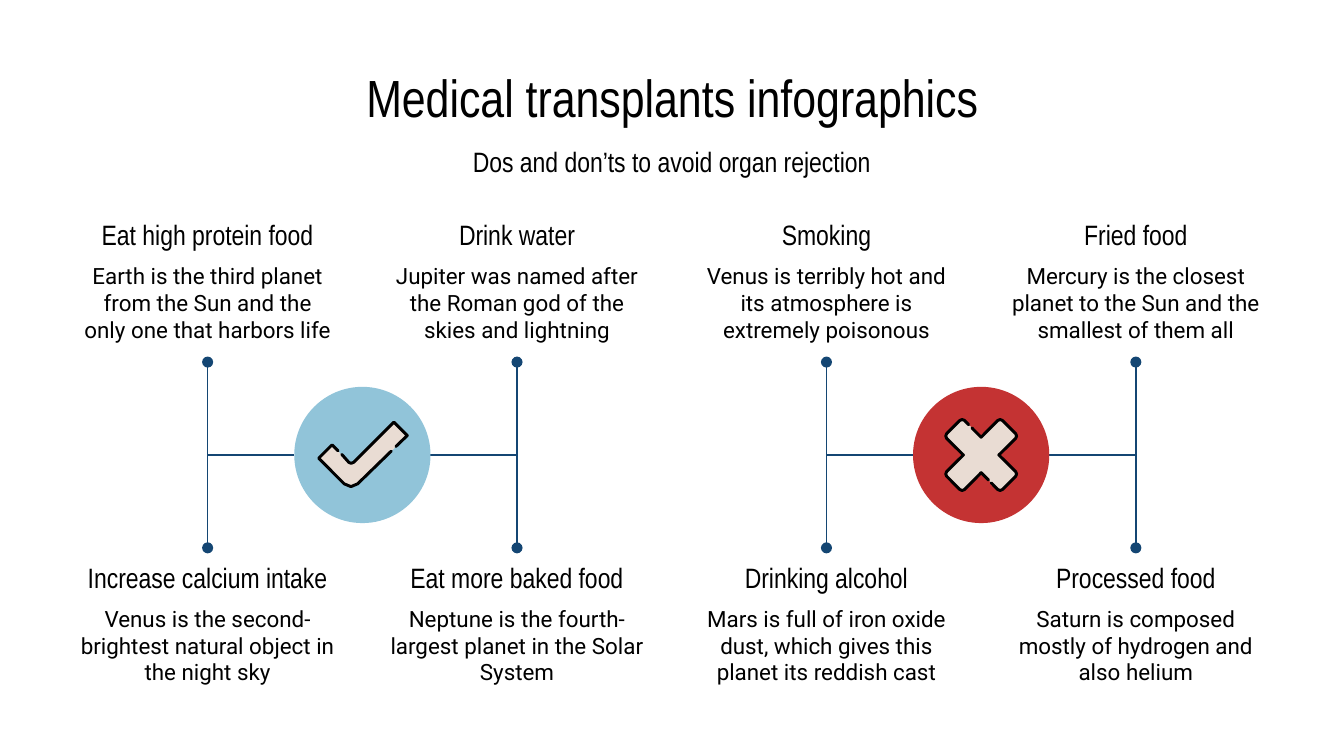
import pptx
import pptx.util
import pptx.dml.color
import pptx.enum.shapes
import pptx.enum.text
import pptx.oxml.ns
import lxml.etree

Pt = pptx.util.Pt
COLORS = {"text": "000000", "line": "144673", "do": "91C4D9", "dont": "C43333", "icon": "E9DCD3"}
HEADING_FONT, BODY_FONT = "Arial Narrow", "Roboto"

TITLE = "Medical transplants infographics"
SUBTITLE = "Dos and don’ts to avoid organ rejection"
ADVICE_ROWS = [
    [
        ("Eat high protein food", "Earth is the third planet from the Sun and the only one that harbors life"),
        ("Drink water", "Jupiter was named after the Roman god of the skies and lightning"),
        ("Smoking", "Venus is terribly hot and its atmosphere is extremely poisonous"),
        ("Fried food", "Mercury is the closest planet to the Sun and the smallest of them all"),
    ],
    [
        ("Increase calcium intake", "Venus is the second-brightest natural object in the night sky"),
        ("Eat more baked food", "Neptune is the fourth-largest planet in the Solar System"),
        ("Drinking alcohol", "Mars is full of iron oxide dust, which gives this planet its reddish cast"),
        ("Processed food", "Saturn is composed mostly of hydrogen and also helium"),
    ],
]
CHECK = [(16.9, -17.6), (-4.7, 4), (-6, 4.5), (-7.2, 4), (-16.2, -5.4),
         (-23.4, 1.8), (-9.7, 15.5), (-6.1, 17), (-2.5, 15.5), (24.1, -10.4)]
CHECK_STROKES = [
    [(-13, -2.2)] + CHECK[4:9] + [(15.5, -2)],
    [(-11, -0.3)] + CHECK[3::-1] + [CHECK[9], (18, -4.5)],
]
CROSS_ARM = [(0, -9.5), (8.9, -18.5), (10.2, -19), (11.4, -18.5),
             (18.5, -11.4), (19, -10.2), (18.5, -8.9)]
CROSS = (CROSS_ARM + [(-y, x) for x, y in CROSS_ARM]
         + [(-x, -y) for x, y in CROSS_ARM] + [(y, -x) for x, y in CROSS_ARM])
CROSS_STROKES = [
    [(-5, -14.5)] + CROSS[:14] + [(5.4, 14.9)],
    [(4, 13.5)] + CROSS[14:] + [(-6.7, -16.2)],
]
SIDES = [("do", CHECK, CHECK_STROKES), ("dont", CROSS, CROSS_STROKES)]

MARGIN, COLUMN_STEP, COLUMN_WIDTH = 36, 165.75, 150.5
ROW_TOPS = [115.2, 298.8]
STEM_TOP, STEM_BOTTOM = 194, 293.5
MIDDLE = (STEM_TOP + STEM_BOTTOM) / 2
DIAMETER = 73


def rgb(name):
    return pptx.dml.color.RGBColor.from_string(COLORS[name])


def write(box, text, size, font, top_inset=7.2, anchor="TOP"):
    frame = box.text_frame
    frame.word_wrap = True
    frame.auto_size = pptx.enum.text.MSO_AUTO_SIZE.NONE
    frame.vertical_anchor = pptx.enum.text.MSO_ANCHOR[anchor]
    frame.margin_left = frame.margin_right = frame.margin_bottom = Pt(7.2)
    frame.margin_top = Pt(top_inset)
    paragraph = frame.paragraphs[0]
    paragraph.alignment = pptx.enum.text.PP_ALIGN.CENTER
    run = paragraph.add_run()
    run.text = text
    run.font.size = Pt(size)
    run.font.name = font
    run.font.color.rgb = rgb("text")


def add_text(left, top, width, height, *text_format):
    box = slide.shapes.add_textbox(Pt(left), Pt(top), Pt(width), Pt(height))
    write(box, *text_format)


def add_line(x1, y1, x2, y2, dotted=False):
    line = slide.shapes.add_connector(
        pptx.enum.shapes.MSO_CONNECTOR.STRAIGHT, Pt(x1), Pt(y1), Pt(x2), Pt(y2))
    line.line.color.rgb = rgb("line")
    line.line.width = Pt(0.75)
    properties = line._element.spPr
    lxml.etree.SubElement(properties, pptx.oxml.ns.qn("a:effectLst"))
    if dotted:
        outline = properties.find(pptx.oxml.ns.qn("a:ln"))
        for end in ("a:headEnd", "a:tailEnd"):
            lxml.etree.SubElement(outline, pptx.oxml.ns.qn(end), type="oval")


def fill_plain(shape, color):
    shape.shadow.inherit = False
    shape.fill.solid()
    shape.fill.fore_color.rgb = rgb(color)
    shape.line.fill.background()


def trace(center, points, close):
    spots = [(Pt(center + x), Pt(MIDDLE + y)) for x, y in points]
    builder = slide.shapes.build_freeform(*spots[0])
    builder.add_line_segments(spots[1:], close=close)
    return builder.convert_to_shape()


def add_stroke(center, points):
    stroke = trace(center, points, False)
    stroke.shadow.inherit = False
    stroke.fill.background()
    stroke.line.color.rgb = rgb("text")
    stroke.line.width = Pt(1.6)
    outline = stroke._element.spPr.find(pptx.oxml.ns.qn("a:ln"))
    outline.set("cap", "rnd")
    lxml.etree.SubElement(outline, pptx.oxml.ns.qn("a:round"))


presentation = pptx.Presentation()
presentation.slide_width, presentation.slide_height = Pt(720), Pt(405)
slide = presentation.slides.add_slide(presentation.slide_layouts[5])

title = slide.shapes.title
title.left, title.top, title.width, title.height = Pt(MARGIN), Pt(32.4), Pt(648), Pt(38.2)
write(title, TITLE, 28, HEADING_FONT, 7.2, "MIDDLE")
add_text(MARGIN, 72, 648, 28.8, SUBTITLE, 15, HEADING_FONT, 7.2, "MIDDLE")

for top, advice_row in zip(ROW_TOPS, ADVICE_ROWS):
    for column, (heading, detail) in enumerate(advice_row):
        left = MARGIN + column * COLUMN_STEP
        add_text(left, top, COLUMN_WIDTH, 20.9, heading, 15, HEADING_FONT, 1.44)
        add_text(left, top + 23.8, COLUMN_WIDTH, 50.4, detail, 12, BODY_FONT, 1.44)

for side, (color, icon, strokes) in enumerate(SIDES):
    stem = MARGIN + COLUMN_WIDTH / 2 + 2 * side * COLUMN_STEP
    center = stem + COLUMN_STEP / 2
    for direction in (-1, 1):
        x = center + direction * COLUMN_STEP / 2
        add_line(x, STEM_TOP, x, STEM_BOTTOM, dotted=True)
        add_line(center + direction * DIAMETER / 2, MIDDLE, x, MIDDLE)
    circle = slide.shapes.add_shape(
        pptx.enum.shapes.MSO_SHAPE.OVAL, Pt(center - DIAMETER / 2), Pt(MIDDLE - DIAMETER / 2),
        Pt(DIAMETER), Pt(DIAMETER))
    fill_plain(circle, color)
    fill_plain(trace(center, icon, True), "icon")
    for stroke_points in strokes:
        add_stroke(center, stroke_points)

presentation.save("out.pptx")
